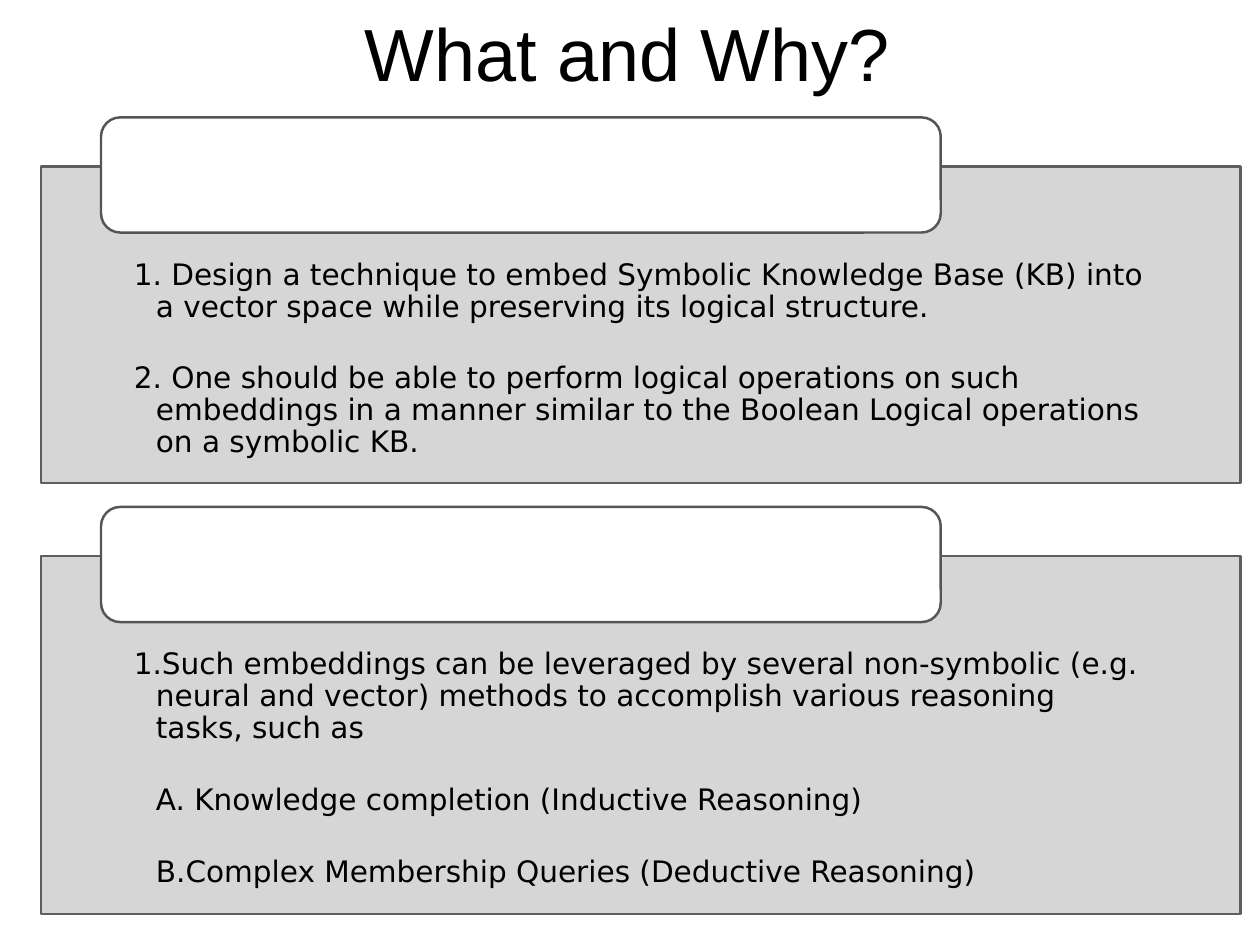
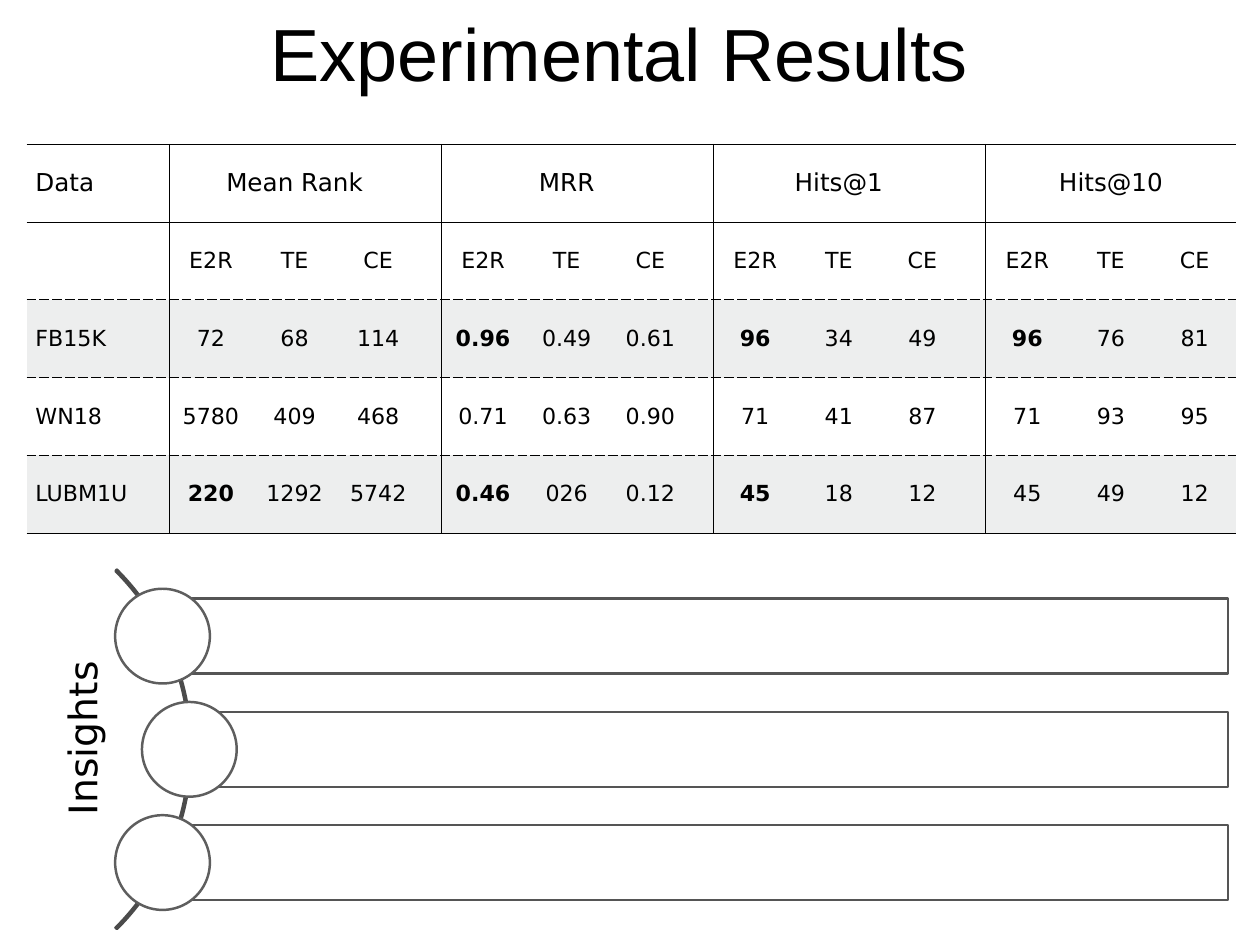
import math

import lxml.etree
import pptx
import pptx.dml.color
import pptx.enum.shapes
import pptx.enum.text
import pptx.oxml.ns
import pptx.util

Pt = pptx.util.Pt
Shape = pptx.enum.shapes.MSO_SHAPE
Align = pptx.enum.text.PP_ALIGN
Anchor = pptx.enum.text.MSO_ANCHOR
qn = pptx.oxml.ns.qn

TITLE_FONT = "Arial"
TEXT_FONT = "DejaVu Sans"
BLACK = "000000"
WHITE = "FFFFFF"
PANEL_GRAY = "D2D2D2"
BAND_GRAY = "EDEEEE"
EDGE = "555555"
SOFT_EDGE = "5E5E5E"
ARC_EDGE = "4B4B4B"

GOALS = [
    (0, " Design a technique to embed Symbolic Knowledge Base (KB) into a vector space "
        "while preserving its logical structure."),
    (0, " One should be able to perform logical operations on such embeddings in a manner "
        "similar to the Boolean Logical operations on a symbolic KB."),
]
REASONS = [
    (0, "Such embeddings can be leveraged by several non-symbolic (e.g. neural and vector) "
        "methods to accomplish various reasoning tasks, such as"),
    (1, " Knowledge completion (Inductive Reasoning)"),
    (1, "Complex Membership Queries (Deductive Reasoning)"),
]
NUMBERING = ["arabicPeriod", "alphaUcPeriod"]

METRICS = ["Mean Rank", "MRR", "Hits@1", "Hits@10"]
METHODS = ["E2R", "TE", "CE"]
RESULTS = [
    ("FB15K", "72 68 114 0.96 0.49 0.61 96 34 49 96 76 81", {3, 6, 9}),
    ("WN18", "5780 409 468 0.71 0.63 0.90 71 41 87 71 93 95", set()),
    ("LUBM1U", "220 1292 5742 0.46 026 0.12 45 18 12 45 49 12", {0, 3, 6}),
]


def rgb(value):
    return pptx.dml.color.RGBColor.from_string(value)


def style_shape(shape, fill, edge):
    if fill:
        shape.fill.solid()
        shape.fill.fore_color.rgb = rgb(fill)
    else:
        shape.fill.background()
    shape.line.color.rgb = rgb(edge)
    shape.line.width = Pt(2)


def add_block(page, kind, box, fill, edge):
    shape = page.shapes.add_shape(kind, *map(Pt, box))
    shape.shadow.inherit = False
    style_shape(shape, fill, edge)
    return shape


def set_font(para, size, name=TEXT_FONT, bold=False):
    para.font.size = Pt(size)
    para.font.name = name
    para.font.bold = bold
    para.font.color.rgb = rgb(BLACK)


def place(shape, box):
    shape.left, shape.top, shape.width, shape.height = map(Pt, box)


def set_frame(frame, insets, anchor):
    frame.word_wrap = True
    frame.auto_size = pptx.enum.text.MSO_AUTO_SIZE.NONE
    frame.vertical_anchor = anchor
    (frame.margin_left, frame.margin_top,
     frame.margin_right, frame.margin_bottom) = map(Pt, insets)


def add_page(deck, layout, title, box):
    page = deck.slides.add_slide(deck.slide_layouts[layout])
    holder = page.shapes.title
    place(holder, box)
    set_frame(holder.text_frame, [4.3] * 4, Anchor.MIDDLE)
    holder.text_frame.text = title
    para = holder.text_frame.paragraphs[0]
    para.alignment = Align.CENTER
    set_font(para, 60, TITLE_FONT)
    return page


def add_panel(page, holder, box, items):
    left, top, width, height = box
    place(holder, box)
    style_shape(holder, PANEL_GRAY, SOFT_EDGE)
    color = holder.element.spPr.find(qn("a:solidFill")).find(qn("a:srgbClr"))
    lxml.etree.SubElement(color, qn("a:alpha"), val="90000")
    frame = holder.text_frame
    set_frame(frame, [75.6, 75.6, 75.6, 13.7], Anchor.TOP)
    for index, (level, text) in enumerate(items):
        para = frame.paragraphs[0] if index == 0 else frame.add_paragraph()
        para.text = text
        para.level = level
        para.alignment = Align.LEFT
        para.line_spacing = 0.9
        para.space_before = Pt(0)
        para.space_after = Pt(32.5)
        set_font(para, 24)
        props = para._p.get_or_add_pPr()
        props.set("marL", str(Pt(18 * (level + 1))))
        props.set("indent", str(Pt(-18)))
        bullet = lxml.etree.Element(qn("a:buAutoNum"), type=NUMBERING[level])
        props.insert(list(props).index(props.find(qn("a:defRPr"))), bullet)
    add_block(page, Shape.ROUNDED_RECTANGLE,
              (left + 49, top - 40, width * 0.7, 93.6), WHITE, EDGE)


def set_borders(cell, dashes):
    props = cell._tc.get_or_add_tcPr()
    for position, side in enumerate("LRTB"):
        dash = dashes.get(side)
        line = lxml.etree.Element(qn(f"a:ln{side}"), w=str(Pt(1 if dash else 0)))
        if dash:
            fill = lxml.etree.SubElement(line, qn("a:solidFill"))
            lxml.etree.SubElement(fill, qn("a:srgbClr"), val=BLACK)
            lxml.etree.SubElement(line, qn("a:prstDash"), val=dash)
        else:
            lxml.etree.SubElement(line, qn("a:noFill"))
        props.insert(position, line)


def fill_cell(cell, text, size, centered=True, bold=False):
    cell.text = text
    para = cell.text_frame.paragraphs[0]
    para.alignment = Align.CENTER if centered else Align.LEFT
    set_font(para, size, bold=bold)


def add_results(page, box):
    group_size = len(METHODS) + 1
    columns = 1 + group_size * len(METRICS)
    rows = 2 + len(RESULTS)
    table = page.shapes.add_table(rows, columns, *map(Pt, box)).table
    table.first_row = False
    table.horz_banding = False
    for index, column in enumerate(table.columns):
        gap = index % group_size == 1
        column.width = Pt(98.6 if index == 0 else 16.8 if gap else 68)
    edges = ["solid", "solid"] + ["lgDash"] * len(RESULTS) + ["solid"]
    for row in range(rows):
        table.rows[row].height = Pt(box[3] / rows)
        for column in range(columns):
            cell = table.cell(row, column)
            cell.vertical_anchor = Anchor.MIDDLE
            if row in (2, 4):
                cell.fill.solid()
                cell.fill.fore_color.rgb = rgb(BAND_GRAY)
            else:
                cell.fill.background()
            dashes = {"T": edges[row], "B": edges[row + 1]}
            if column and column % group_size == 1:
                dashes["R"] = "solid"
            if column and column % group_size == 2:
                dashes["L"] = "solid"
            set_borders(cell, dashes)

    fill_cell(table.cell(0, 0), "Data", 20, centered=False)
    for group, metric in enumerate(METRICS):
        first = 2 + group * group_size
        table.cell(0, first).merge(table.cell(0, first + len(METHODS) - 1))
        fill_cell(table.cell(0, first), metric, 20)
        for offset, method in enumerate(METHODS):
            fill_cell(table.cell(1, first + offset), method, 18)
    for row, (name, values, best) in enumerate(RESULTS, 2):
        fill_cell(table.cell(row, 0), name, 18, centered=False)
        for index, value in enumerate(values.split()):
            group, offset = divmod(index, len(METHODS))
            cell = table.cell(row, 2 + group * group_size + offset)
            fill_cell(cell, value, 18, bold=index in best)


def add_insights(page, box):
    left, top, width, height = box
    radius = 206.6
    center_x = left - 51.1
    center_y = top + height / 2
    arc = add_block(page, Shape.BLOCK_ARC,
                    (center_x - radius, center_y - radius, 2 * radius, 2 * radius),
                    None, ARC_EDGE)
    for index, value in enumerate([189, 27, 0.004]):
        arc.adjustments[index] = value

    bar_height, dot, step = 61, 77, 92
    for offset in (-step, 0, step):
        x = center_x + math.sqrt(205 ** 2 - offset ** 2)
        y = center_y + offset
        add_block(page, Shape.RECTANGLE,
                  (x, y - bar_height / 2, left + width - x, bar_height), WHITE, EDGE)
        add_block(page, Shape.OVAL, (x - dot / 2, y - dot / 2, dot, dot), WHITE, SOFT_EDGE)

    label_width, label_height = 160, 47
    label = page.shapes.add_textbox(
        *map(Pt, (left + 66.3 - label_width / 2, center_y - 9 - label_height / 2,
                  label_width, label_height)))
    label.rotation = 270
    set_frame(label.text_frame, [4.3] * 4, Anchor.MIDDLE)
    label.text_frame.text = "Insights"
    para = label.text_frame.paragraphs[0]
    para.alignment = Align.CENTER
    set_font(para, 32)


def build_motivation(deck):
    page = add_page(deck, 3, "What and Why?", (22.3, 5.8, 974.9, 73.4))
    add_panel(page, page.placeholders[1], (33.1, 135.4, 974.9, 257), GOALS)
    add_panel(page, page.placeholders[2], (33.1, 452, 974.9, 291), REASONS)


def build_experiments(deck):
    page = add_page(deck, 5, "Experimental Results", (66.2, 5.8, 874.1, 73.4))
    add_results(page, (21.6, 117.4, 981.8, 316))
    add_insights(page, (0, 463, 998, 292))


def main():
    deck = pptx.Presentation()
    deck.slide_width = Pt(1024)
    deck.slide_height = Pt(768)
    build_motivation(deck)
    build_experiments(deck)
    deck.save("out.pptx")


if __name__ == "__main__":
    main()
